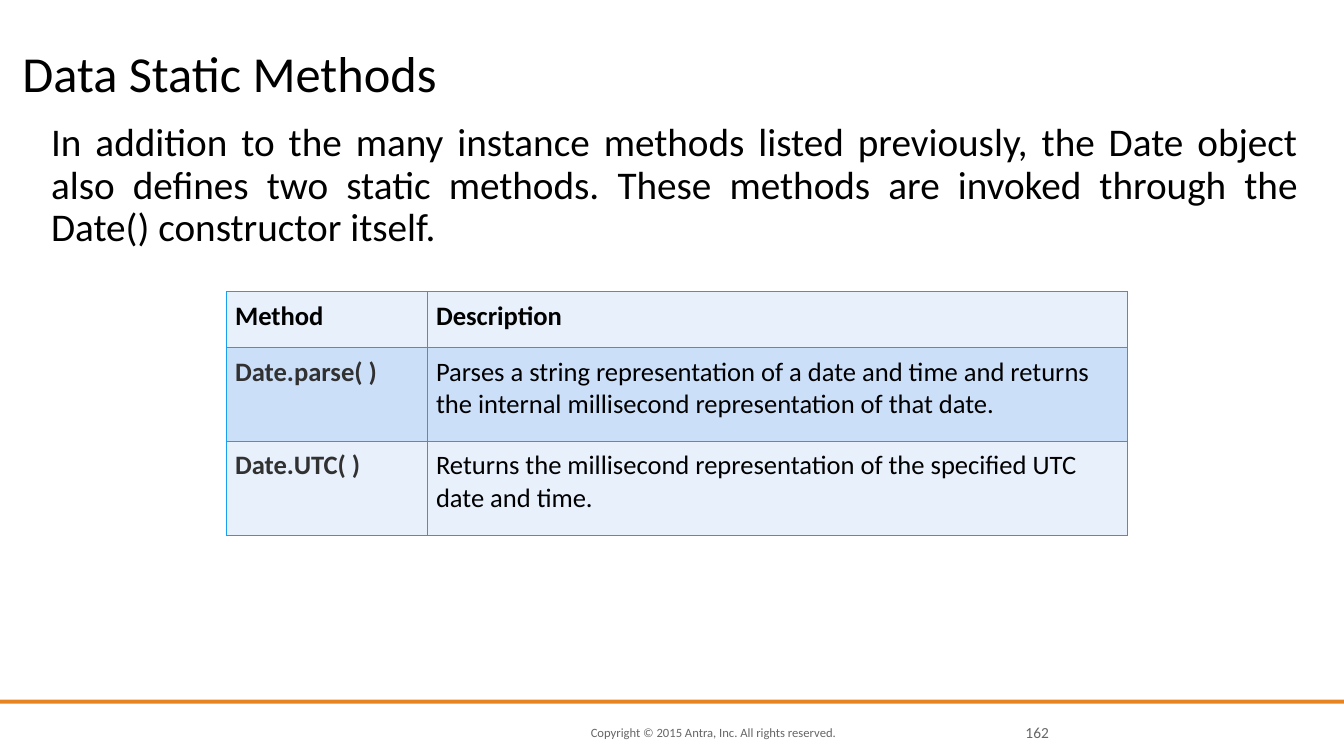
from lxml import etree
from pptx import Presentation
from pptx.dml.color import RGBColor
from pptx.enum.shapes import MSO_SHAPE
from pptx.enum.text import MSO_ANCHOR, MSO_AUTO_SIZE, PP_ALIGN
from pptx.oxml.ns import qn
from pptx.util import Pt

RECT = MSO_SHAPE.RECTANGLE
TOP, MIDDLE, BOTTOM = MSO_ANCHOR.TOP, MSO_ANCHOR.MIDDLE, MSO_ANCHOR.BOTTOM
LEFT, RIGHT, JUSTIFY = PP_ALIGN.LEFT, PP_ALIGN.RIGHT, PP_ALIGN.JUSTIFY

BLACK = RGBColor(0x00, 0x00, 0x00)
DARK = RGBColor(0x31, 0x31, 0x31)
GRAY = RGBColor(0x66, 0x66, 0x66)
ORANGE = RGBColor(0xE6, 0x84, 0x22)
PALE = RGBColor(0xE8, 0xF0, 0xFC)
LIGHT = RGBColor(0xCC, 0xDF, 0xF9)
BLUE = RGBColor(0x18, 0x9F, 0xEF)
SLATE = RGBColor(0x6B, 0x85, 0xA3)


def fill_text(s, text, size, color, align=LEFT, anchor=TOP, bold=False):
    """Write one paragraph into a shape or table cell and format it."""
    tf = s.text_frame
    tf.text = text
    tf.word_wrap = True
    s.vertical_anchor = tf.vertical_anchor = anchor
    p = tf.paragraphs[0]
    p.alignment = align
    font = p.runs[0].font
    font.name, font.size, font.bold = "Calibri", Pt(size), bold
    font.color.rgb = color
    return p


def set_border(cell, side, color, width):
    ln = etree.SubElement(cell._tc.get_or_add_tcPr(), qn(f"a:{side}"), w=str(Pt(width)))
    fill = etree.SubElement(ln, qn("a:solidFill"))
    etree.SubElement(fill, qn("a:srgbClr"), val=str(color))


prs = Presentation()
prs.slide_width, prs.slide_height = Pt(960), Pt(540)
slide = prs.slides.add_slide(prs.slide_layouts[5])

rule = slide.shapes.add_shape(RECT, 0, Pt(499.7), Pt(960), Pt(3))
rule.shadow.inherit = False
rule.fill.solid()
rule.fill.fore_color.rgb = ORANGE
rule.line.fill.background()

title = slide.shapes.title
title.left, title.top, title.width, title.height = Pt(16), Pt(22.3), Pt(876), Pt(50.4)
p = fill_text(title, "Data Static Methods", 36, BLACK, anchor=BOTTOM)
p.line_spacing = 0.8

body = slide.shapes.add_textbox(Pt(36.5), Pt(87.8), Pt(890.5), Pt(312))
p = fill_text(
    body,
    "In addition to the many instance methods listed previously, the Date object "
    "also defines two static methods. These methods are invoked through the "
    "Date() constructor itself.",
    28, BLACK, JUSTIFY)
p.line_spacing = 0.9

footer = slide.shapes.add_textbox(Pt(422), Pt(516.2), Pt(220), Pt(14.4))
fill_text(footer, "Copyright © 2015 Antra, Inc. All rights reserved.", 9, GRAY, anchor=MIDDLE)

number = slide.shapes.add_textbox(Pt(719.3), Pt(516.2), Pt(30), Pt(14.4))
fill_text(number, "162", 11, GRAY, RIGHT, MIDDLE)

for s in (title, body, footer, number):
    tf = s.text_frame
    tf.auto_size = MSO_AUTO_SIZE.NONE
    tf.margin_left = tf.margin_top = tf.margin_right = tf.margin_bottom = 0

methods = [
    ("Method", "Description"),
    ("Date.parse( )", "Parses a string representation of a date and time and returns "
                      "the internal millisecond representation of that date."),
    ("Date.UTC( )", "Returns the millisecond representation of the specified UTC "
                    "date and time."),
]
col_widths = [143.5, 500]
row_heights = [40, 67, 67]
table = slide.shapes.add_table(
    len(methods), len(col_widths), Pt(162), Pt(208.3),
    Pt(sum(col_widths)), Pt(sum(row_heights))).table
for column, width in zip(table.columns, col_widths):
    column.width = Pt(width)
for i, (row, height) in enumerate(zip(table.rows, row_heights)):
    row.height = Pt(height)
    for j, cell in enumerate(row.cells):
        is_name = i > 0 and j == 0
        fill_text(cell, methods[i][j], 19, DARK if is_name else BLACK,
                  JUSTIFY if is_name else LEFT, bold=i == 0 or j == 0)
        cell.margin_left = cell.margin_top = cell.margin_right = cell.margin_bottom = Pt(6)
        set_border(cell, "lnL", *((BLUE, 1) if j == 0 else (SLATE, 0.5)))
        set_border(cell, "lnR", SLATE, 0.5)
        set_border(cell, "lnT", SLATE, 0.5)
        set_border(cell, "lnB", *((BLUE, 1) if i == len(methods) - 1 else (SLATE, 0.5)))
        cell.fill.solid()
        cell.fill.fore_color.rgb = LIGHT if i == 1 else PALE

prs.save("out.pptx")
